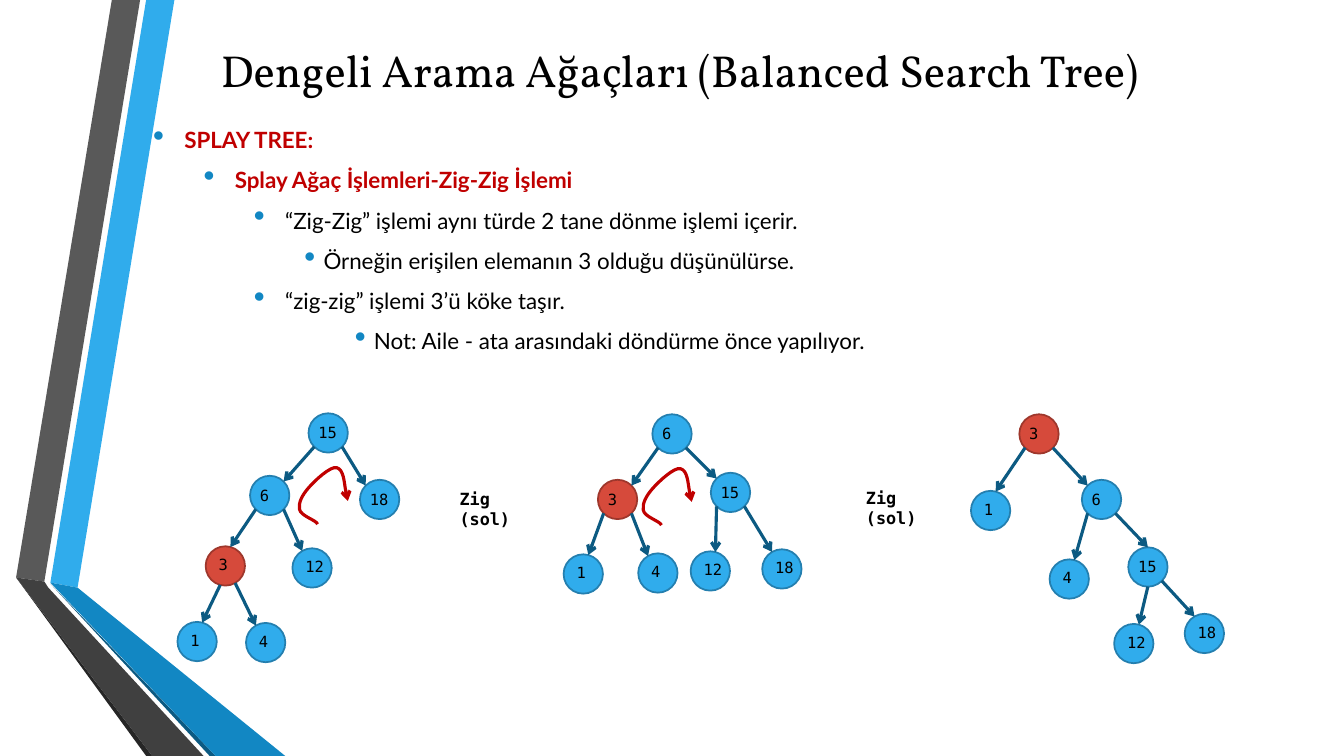
import math
import pptx
import pptx.util
import pptx.dml.color
import pptx.enum.shapes
import pptx.enum.text
import pptx.oxml
import pptx.oxml.ns
import lxml.etree

Inches, Pt = pptx.util.Inches, pptx.util.Pt
qn = pptx.oxml.ns.qn
ALIGN = pptx.enum.text.PP_ALIGN
RGB = pptx.dml.color.RGBColor.from_string
COLORS = {
    "black": "000000", "red": "C00000", "bullet": "1287C3", "edge": "0C5A82",
    "node": "30ACEC", "node_line": "247FAF", "key": "D64A3B", "key_line": "9E372C",
    "dark": "595959", "darker": "404040", "darkest": "262626",
}
MONO = "DejaVu Sans Mono"

deck = pptx.Presentation()
deck.slide_width, deck.slide_height = Inches(13.33), Inches(7.5)
page = deck.slides.add_slide(deck.slide_layouts[6])
shapes = page.shapes


def add_text(left, top, width, height, text, font, size, color="black", bold=False):
    box = shapes.add_textbox(Inches(left), Inches(top), Inches(width), Inches(height))
    box.text_frame.word_wrap = True
    para = box.text_frame.paragraphs[0]
    para.text = text
    para.font.name, para.font.size, para.font.bold = font, Pt(size), bold
    para.font.color.rgb = RGB(COLORS[color])
    return box


def add_arrow_line(shape, color):
    shape.line.color.rgb = RGB(COLORS[color])
    shape.line.width = Pt(2.25)
    tip = lxml.etree.SubElement(shape.line._get_or_add_ln(), qn("a:tailEnd"))
    tip.set("type", "arrow")


# Ribbons down the left edge
ribbons = [
    ("node", [(0.5, 5.78), (0.77, 5.83), (1.73, 0), (1.45, 0)]),
    ("dark", [(1.39, 0), (1.11, 0), (0.16, 5.73), (0.44, 5.77)]),
    ("darkest", [(0.16, 5.73), (1.45, 7.5), (1.51, 7.5)]),
    ("edge", [(0.5, 5.79), (2.08, 7.5), (2.14, 7.5)]),
    ("bullet", [(0.5, 5.78), (2.14, 7.5), (2.83, 7.5), (0.77, 5.83)]),
    ("darker", [(2.02, 7.5), (0.48, 5.83), (0.44, 5.77), (0.16, 5.73), (1.51, 7.5)]),
]
for color, corners in ribbons:
    points = [(Inches(x), Inches(y)) for x, y in corners]
    builder = shapes.build_freeform(*points[0])
    builder.add_line_segments(points[1:], close=True)
    ribbon = builder.convert_to_shape()
    ribbon.shadow.inherit = False
    ribbon.fill.solid()
    ribbon.fill.fore_color.rgb = RGB(COLORS[color])
    ribbon.line.fill.background()

# Title
title = add_text(1.55, 0.17, 10.39, 1.04,
                 "Dengeli Arama Ağaçları (Balanced Search Tree)", "Vollkorn", 32)
title.text_frame.vertical_anchor = pptx.enum.text.MSO_ANCHOR.MIDDLE
title.text_frame.paragraphs[0].alignment = ALIGN.CENTER

# Bulleted text: level, indent, hanging part, colour, wording
bullets = [
    (0, 0.31, 0.31, "red", "SPLAY TREE: "),
    (1, 0.81, 0.31, "red", "Splay Ağaç İşlemleri-Zig-Zig İşlemi"),
    (2, 1.31, 0.31, "black", "“Zig-Zig” işlemi aynı türde 2 tane dönme işlemi içerir."),
    (3, 1.69, 0.19, "black", "Örneğin erişilen elemanın 3 olduğu düşünülürse."),
    (2, 1.31, 0.31, "black", "“zig-zig” işlemi 3’ü köke taşır."),
    (4, 2.19, 0.19, "black", "Not: Aile - ata arasındaki döndürme önce yapılıyor."),
]
body = shapes.add_textbox(Inches(1.42), Inches(1.07), Inches(11.11), Inches(3.03))
frame = body.text_frame
frame.word_wrap = True
for index, (level, indent, hanging, color, wording) in enumerate(bullets):
    para = frame.add_paragraph() if index else frame.paragraphs[0]
    para.text, para.level = wording, level
    para.alignment, para.line_spacing = ALIGN.JUSTIFY, 1.5
    para.font.name, para.font.size = "Lato", Pt(16)
    para.font.bold = color == "red"
    para.font.color.rgb = RGB(COLORS[color])
    props = para._p.get_or_add_pPr()
    props.set("marL", str(Inches(indent)))
    props.set("indent", str(-Inches(hanging)))
    bullet_color = lxml.etree.SubElement(props, qn("a:buClr"))
    lxml.etree.SubElement(bullet_color, qn("a:srgbClr")).set("val", COLORS["bullet"])
    lxml.etree.SubElement(props, qn("a:buSzPct")).set("val", "145000")
    lxml.etree.SubElement(props, qn("a:buChar")).set("char", "•")
    # The run properties of the list must stay behind the bullet
    for defaults in props.findall(qn("a:defRPr")):
        props.append(defaults)

# Trees: key -> left, top, tilted, parent, angle leaving parent, angle entering node
# (angles are clockwise degrees from the top of a circle)
trees = [
    {15: (3.06, 4.1, False, None, 0, 0), 6: (2.48, 4.72, False, 15, -135, 45),
     18: (3.57, 4.76, False, 15, 135, -45), 3: (2.04, 5.42, True, 6, -135, 15),
     12: (2.9, 5.44, True, 6, 135, -30), 1: (1.76, 6.17, True, 3, -165, 15),
     4: (2.44, 6.18, True, 3, 150, -30)},
    {6: (6.47, 4.11, False, None, 0, 0), 3: (5.93, 4.76, False, 6, -135, 45),
     15: (7.05, 4.69, False, 6, 135, -45), 1: (5.59, 5.5, True, 3, -135, 15),
     4: (6.33, 5.49, True, 3, 135, -30), 12: (6.85, 5.47, True, 15, -135, 15),
     18: (7.56, 5.45, True, 15, 135, -30)},
    {3: (10.11, 4.11, False, None, 0, 0), 1: (9.63, 4.87, True, 3, -135, 15),
     6: (10.73, 4.76, False, 3, 135, -45), 4: (10.41, 5.55, True, 6, -135, 15),
     15: (11.19, 5.43, False, 6, 135, 0), 12: (11.05, 6.19, True, 15, 180, 15),
     18: (11.75, 6.09, True, 15, 135, -30)},
]
SIZE = 0.39
for tree in trees:
    for key, (left, top, tilted, parent, leave, enter) in tree.items():
        node = shapes.add_shape(pptx.enum.shapes.MSO_SHAPE.OVAL, Inches(left),
                                Inches(top), Inches(SIZE), Inches(SIZE))
        style = "key" if key == 3 else "node"
        node.shadow.inherit = False
        node.fill.solid()
        node.fill.fore_color.rgb = RGB(COLORS[style])
        node.line.color.rgb = RGB(COLORS[style + "_line"])
        node.line.width = Pt(1.25)
        node.rotation = 330.3 if tilted else 0
        shift, drop = (0.03, 0.04) if tilted else (0, 0.05)
        add_text(left + shift, top + drop, 0.4, 0.29, str(key), MONO, 11)
        if parent is None:
            continue
        ends = []
        for (x, y), angle in ((tree[parent][:2], leave), ((left, top), enter)):
            turn = math.radians(angle)
            ends += [Inches(x + SIZE / 2 * (1 + math.sin(turn))),
                     Inches(y + SIZE / 2 * (1 - math.cos(turn)))]
        edge = shapes.add_connector(pptx.enum.shapes.MSO_CONNECTOR.STRAIGHT, *ends)
        add_arrow_line(edge, "edge")
        lxml.etree.SubElement(edge._element.spPr, qn("a:effectLst"))

# Rotation arrows in the first two trees: a start point, then Bezier segments
curve = [(3.15, 5.2), (3.14, 5.16), (2.98, 5.12), (2.97, 5.05), (2.96, 4.98),
         (3, 4.91), (3.06, 4.84), (3.12, 4.77), (3.28, 4.62), (3.34, 4.64),
         (3.41, 4.66), (3.43, 4.92), (3.45, 4.97)]
for right, down in ((0, 0), (3.41, 0.01)):
    points = [(Inches(x + right), Inches(y + down)) for x, y in curve]
    builder = shapes.build_freeform(*points[0])
    builder.add_line_segments(points[1:], close=False)
    turn_arrow = builder.convert_to_shape()
    turn_arrow.shadow.inherit = False
    turn_arrow.fill.background()
    add_arrow_line(turn_arrow, "red")
    segments = list(turn_arrow._element.iter(qn("a:lnTo")))
    for first in range(0, len(segments), 3):
        bezier = lxml.etree.SubElement(segments[first].getparent(), qn("a:cubicBezTo"))
        for segment in segments[first:first + 3]:
            bezier.append(segment[0])
            segment.getparent().remove(segment)

# Step labels between the trees
for left, top in ((4.46, 4.8), (8.49, 4.79)):
    add_text(left, top, 1.05, 0.3, "Zig (sol)", MONO, 12, bold=True)

deck.save("out.pptx")
